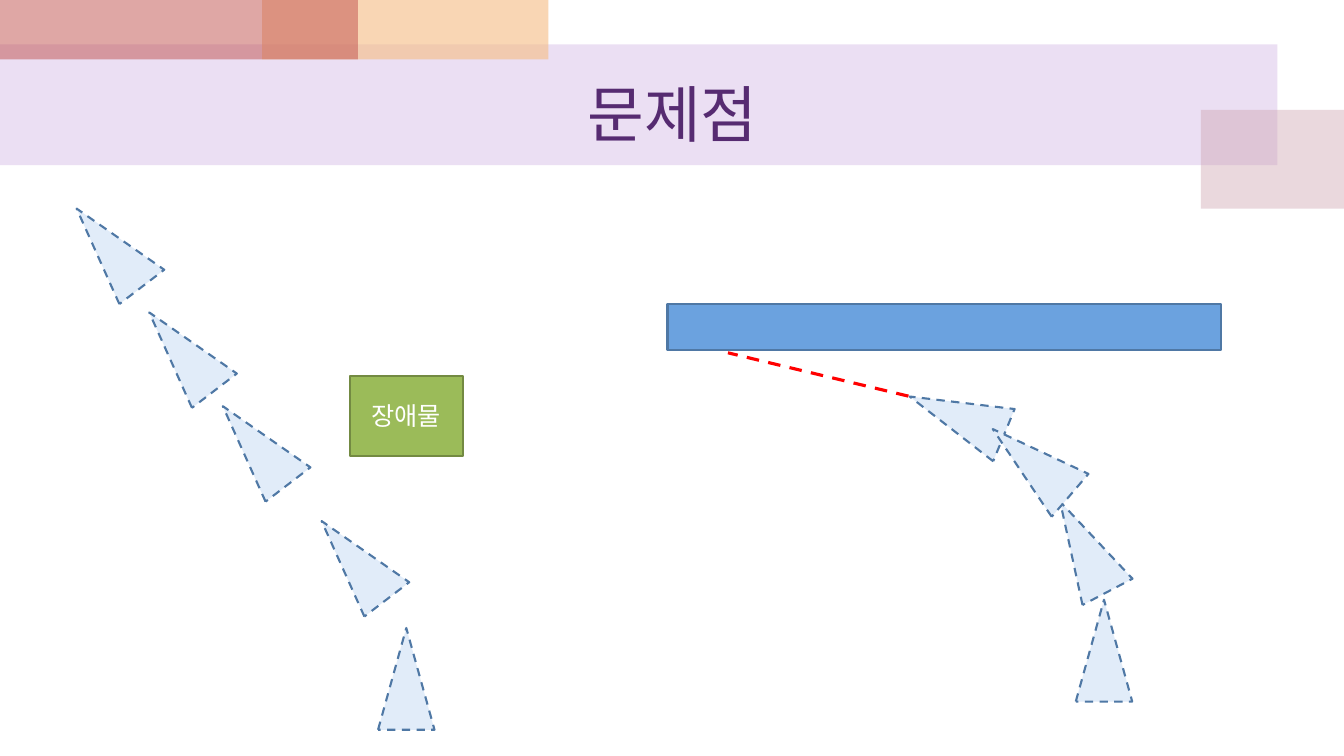
"""Build a slide on the problems of steering around obstacles."""
from lxml.etree import SubElement
from pptx import Presentation
from pptx.dml.color import RGBColor
from pptx.enum.dml import MSO_LINE
from pptx.enum.shapes import MSO_CONNECTOR, MSO_SHAPE
from pptx.enum.text import MSO_ANCHOR, PP_ALIGN
from pptx.oxml.ns import qn
from pptx.util import Inches, Pt

HUES = {
    "lilac": "BF98D8", "mauve": "CC9EAC", "peach": "F5BC83", "brick": "C0504D",
    "plum": "562B71", "pale": "E1ECF9", "navy": "4F78A5", "blue": "6BA2DF",
    "green": "9BBB59", "olive": "738A42", "white": "FFFFFF", "red": "FF0000",
}


def add_box(kind, spot, fill, edge=None):
    box = slide.shapes.add_shape(kind, *[Inches(n) for n in spot])
    box.shadow.inherit = False
    box.fill.solid()
    box.fill.fore_color.rgb = RGBColor.from_string(HUES[fill])
    if edge:
        box.line.color.rgb = RGBColor.from_string(HUES[edge])
        box.line.width = Pt(1.5)
    else:
        box.line.fill.background()
    return box


def set_text(shape, text, size, hue):
    frame = shape.text_frame
    frame.text = text
    frame.word_wrap = True
    frame.vertical_anchor = MSO_ANCHOR.MIDDLE
    line = frame.paragraphs[0]
    line.alignment = PP_ALIGN.CENTER
    font = line.runs[0].font
    font.name = "Calibri"
    font.size = Pt(size)
    font.color.rgb = RGBColor.from_string(HUES[hue])


deck = Presentation()
deck.slide_width, deck.slide_height = Inches(13.33), Inches(7.5)
slide = deck.slides.add_slide(deck.slide_layouts[5])

bands = [
    ((0, 0.44, 12.67, 1.2), "lilac", 30),
    ((11.91, 1.09, 1.42, 0.98), "mauve", 40),
    ((2.6, 0, 2.84, 0.59), "peach", 60),
    ((0, 0, 3.55, 0.59), "brick", 50),
]
for spot, hue, alpha in bands:
    band = add_box(MSO_SHAPE.RECTANGLE, spot, hue)
    color = band.fill._xPr.find(qn("a:solidFill"))[0]
    SubElement(color, qn("a:alpha")).set("val", str(alpha * 1000))

title = slide.shapes.title
title.left, title.top = Inches(0.67), Inches(0.59)
title.width, title.height = Inches(12), Inches(1.05)
set_text(title, "문제점", 44, "plum")
slide.shapes._spTree.append(title._element)

block = add_box(MSO_SHAPE.RECTANGLE, (3.47, 3.73, 1.12, 0.79), "green", "olive")
set_text(block, "장애물", 18, "white")
add_box(MSO_SHAPE.RECTANGLE, (6.62, 3.02, 5.49, 0.45), "blue", "navy")

steps = [
    (3.75, 6.23, 0, 0.5),
    (3.25, 5.04, 322.6, 0.426),
    (2.27, 3.9, 322.6, 0.426),
    (1.54, 2.97, 322.6, 0.426),
    (0.82, 1.94, 322.6, 0.426),
    (10.47, 4.92, 332.3, 0.5),
    (10.67, 5.95, 0, 0.5),
    (9.21, 3.62, 292.3, 0.5),
    (9.95, 4.08, 310.6, 0.5),
]
for left, top, turn, peak in steps:
    step = add_box(MSO_SHAPE.ISOSCELES_TRIANGLE, (left, top, 0.56, 1.01), "pale", "navy")
    step.line.dash_style = MSO_LINE.DASH
    step.rotation = turn
    step.adjustments[0] = peak

beam = slide.shapes.add_connector(
    MSO_CONNECTOR.STRAIGHT, Inches(9.01), Inches(3.93), Inches(7.22), Inches(3.5))
beam.line.color.rgb = RGBColor.from_string(HUES["red"])
beam.line.width = Pt(2.25)
beam.line.dash_style = MSO_LINE.DASH
SubElement(beam._element.spPr, qn("a:effectLst"))

deck.save("out.pptx")
